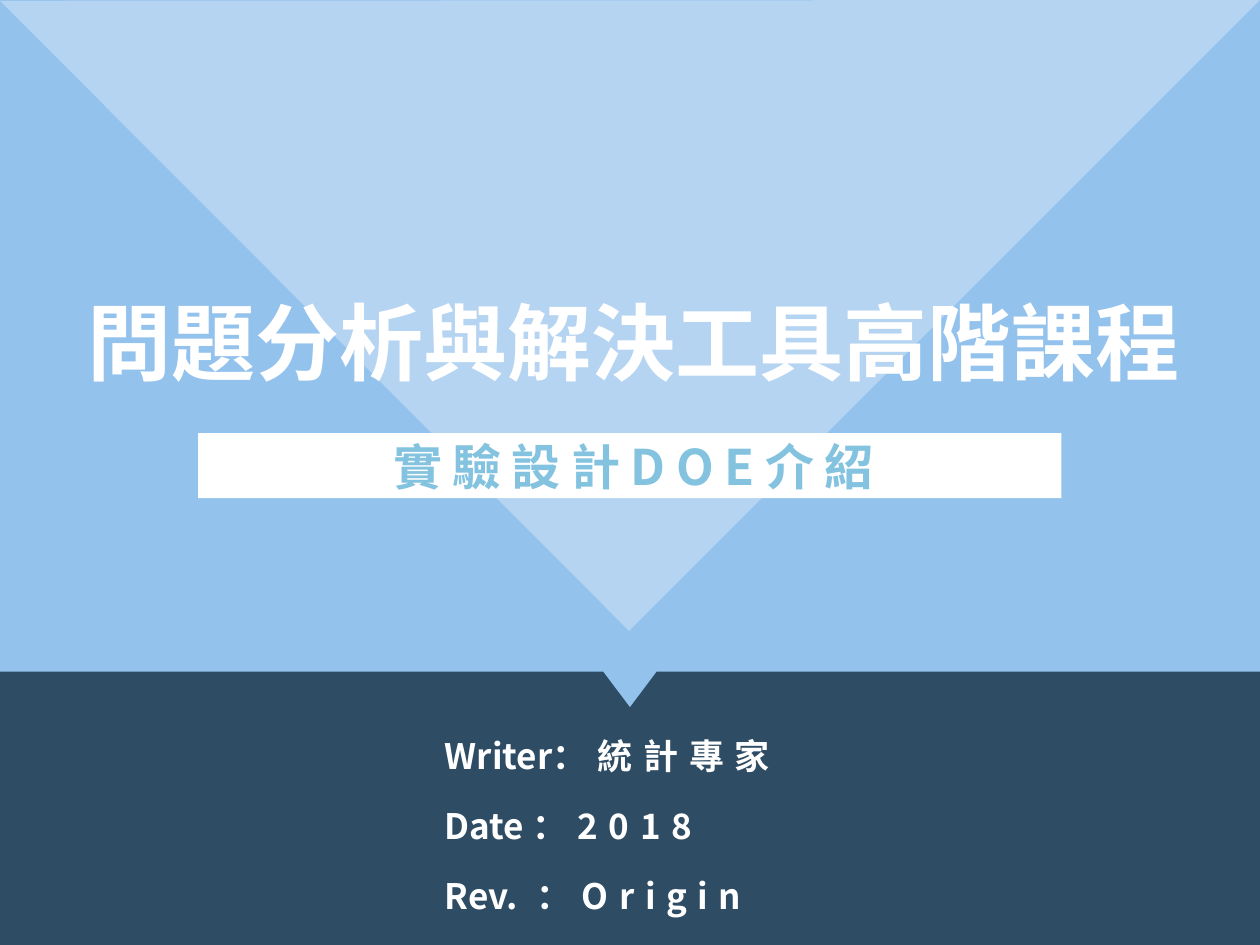
"""Build the cover slide of a problem-solving course."""
from pptx import Presentation
from pptx.dml.color import RGBColor
from pptx.enum.shapes import MSO_SHAPE as Shape
from pptx.enum.text import MSO_ANCHOR as Anchor, PP_ALIGN as Align
from pptx.util import Pt

NAVY = RGBColor(0x2E, 0x4C, 0x64)
BLUE = RGBColor(0x93, 0xC2, 0xED)
PALE_BLUE = RGBColor(0xB4, 0xD4, 0xF2)
TEAL = RGBColor(0x84, 0xC3, 0xDF)
WHITE = RGBColor(0xFF, 0xFF, 0xFF)
FONT = "Noto Sans CJK SC"
WIDTH, HEIGHT = 720, 540


def paint(shape, color):
    shape.shadow.inherit = False
    shape.fill.solid()
    shape.fill.fore_color.rgb = color
    shape.line.fill.background()


def add_run(paragraph, text, size, color, spacing=0):
    run = paragraph.add_run()
    run.text = text
    run.font.size = Pt(size)
    run.font.bold = True
    run.font.name = FONT
    run.font.color.rgb = color
    properties = run.font._element
    properties.set("spc", str(spacing * 100))
    latin = properties.find("{*}latin")
    east_asian = latin.makeelement(latin.tag.replace("latin", "ea"), {"typeface": FONT})
    latin.addnext(east_asian)


presentation = Presentation()
presentation.slide_width, presentation.slide_height = Pt(WIDTH), Pt(HEIGHT)
slide = presentation.slides.add_slide(presentation.slide_layouts[6])
slide.background.fill.solid()
slide.background.fill.fore_color.rgb = NAVY

panel = [(0, 0), (WIDTH, 0), (WIDTH, 372.3), (375.2, 372.3),
         (360, 392.5), (344.8, 372.3), (0, 372.3)]
triangle = [(0, 0.5), (WIDTH, 0), (359.5, 360.5)]
for points, top, color in [(panel, 11.5, BLUE), (panel, 0, BLUE), (triangle, 0, PALE_BLUE)]:
    corners = [(Pt(x), Pt(y + top)) for x, y in points]
    builder = slide.shapes.build_freeform(*corners[0], scale=1.0)
    builder.add_line_segments(corners[1:], close=True)
    paint(builder.convert_to_shape(), color)

banner = slide.shapes.add_shape(Shape.RECTANGLE, Pt(113.2), Pt(247.5), Pt(493.4), Pt(37.2))
paint(banner, WHITE)

headings = [
    ("問題分析與解決工具高階課程", (2, 162, 720, 65.5), 48, WHITE, 0, None),
    ("實驗設計DOE介紹", (115.2, 255, 493.4, 32.4), 28, TEAL, 6, Pt(24)),
]
for text, box, size, color, spacing, line_spacing in headings:
    frame = slide.shapes.add_textbox(*map(Pt, box)).text_frame
    frame.word_wrap = True
    frame.vertical_anchor = Anchor.MIDDLE
    frame.margin_top = frame.margin_bottom = 0
    paragraph = frame.paragraphs[0]
    paragraph.alignment = Align.CENTER
    paragraph.line_spacing = line_spacing
    add_run(paragraph, text, size, color, spacing)

details = slide.shapes.add_textbox(Pt(247), Pt(404), Pt(294.5), Pt(121)).text_frame
details.word_wrap = True
rows = [("Writer", "：統計專家"), ("Date ", "：2018"), ("Rev.", " ：Origin")]
for index, (label, value) in enumerate(rows):
    paragraph = details.add_paragraph() if index else details.paragraphs[0]
    paragraph.line_spacing = Pt(36)
    paragraph.space_before = Pt(4)
    add_run(paragraph, label, 20, WHITE)
    add_run(paragraph, value, 20, WHITE, 6)

presentation.save("out.pptx")
